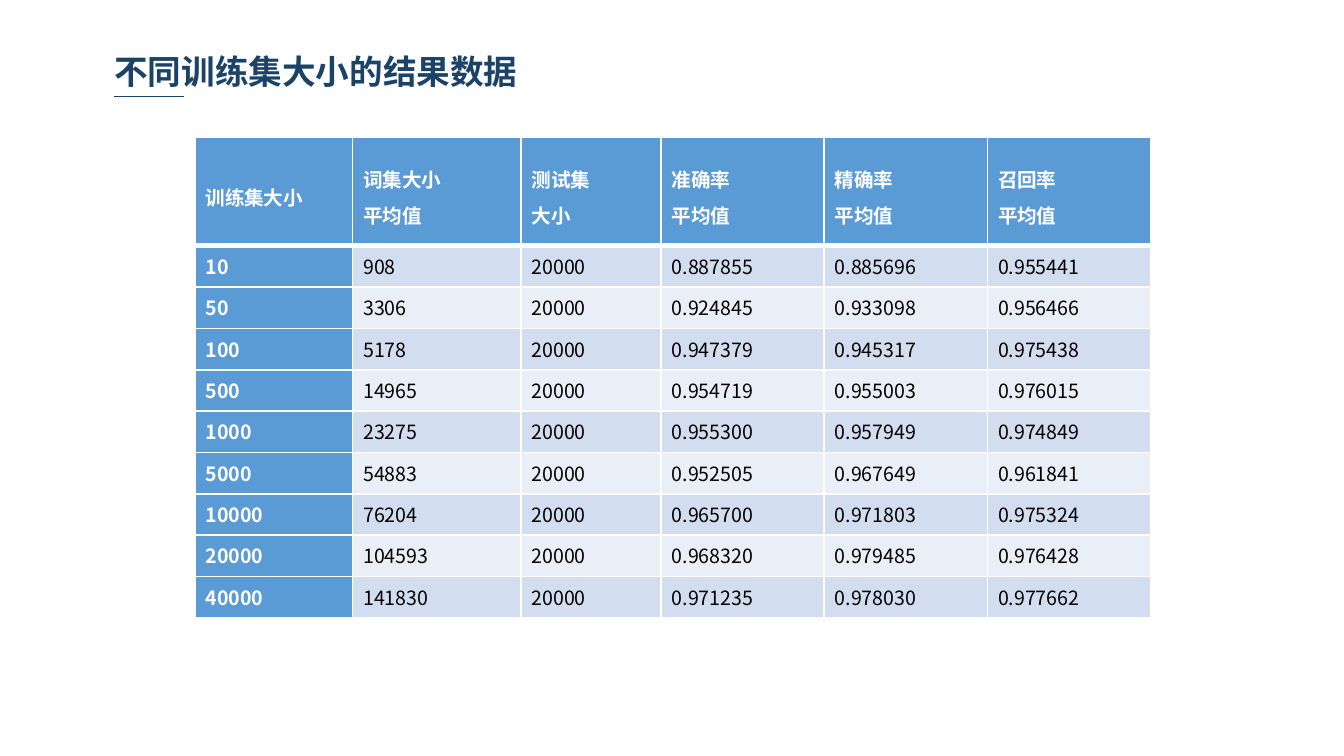
from lxml.etree import SubElement
from pptx import Presentation
from pptx.dml.color import RGBColor
from pptx.enum.shapes import MSO_CONNECTOR as Connector
from pptx.enum.text import MSO_ANCHOR as Anchor, PP_ALIGN as Align
from pptx.oxml.ns import qn
from pptx.util import Inches, Pt

FONT = "Noto Sans CJK SC"
NAVY = RGBColor(0x1B, 0x43, 0x67)
BLUE = RGBColor(0x5B, 0x9B, 0xD5)
BANDS = RGBColor(0xD2, 0xDE, 0xEF), RGBColor(0xEA, 0xEF, 0xF7)
WHITE = RGBColor(0xFF, 0xFF, 0xFF)
BLACK = RGBColor(0, 0, 0)

TITLE = "不同训练集大小的结果数据"
HEADERS = ["训练集大小", "词集大小\n平均值", "测试集\n大小",
           "准确率\n平均值", "精确率\n平均值", "召回率\n平均值"]
TEST_SIZE = "20000"
# training size, vocabulary size, accuracy, precision, recall
RESULTS = [
    ("10", "908", "0.887855", "0.885696", "0.955441"),
    ("50", "3306", "0.924845", "0.933098", "0.956466"),
    ("100", "5178", "0.947379", "0.945317", "0.975438"),
    ("500", "14965", "0.954719", "0.955003", "0.976015"),
    ("1000", "23275", "0.955300", "0.957949", "0.974849"),
    ("5000", "54883", "0.952505", "0.967649", "0.961841"),
    ("10000", "76204", "0.965700", "0.971803", "0.975324"),
    ("20000", "104593", "0.968320", "0.979485", "0.976428"),
    ("40000", "141830", "0.971235", "0.978030", "0.977662"),
]
COLUMN_SHARES = [1.17, 1.25, 1.04, 1.21, 1.21, 1.21]
HEADER_HEIGHT = 0.81


def style_run(span, size, color, bold):
    span.font.name = FONT
    span.font.size = Pt(size)
    span.font.bold = bold
    span.font.color.rgb = color
    SubElement(span.font._element, qn("a:ea"), typeface=FONT)


def set_borders(cell, top, bottom):
    """Give the cell white borders; widths in points, 1 at the sides."""
    properties = cell._tc.get_or_add_tcPr()
    for side, width in (("L", 1), ("R", 1), ("T", top), ("B", bottom)):
        line = SubElement(properties, qn(f"a:ln{side}"), w=str(Pt(width)))
        fill = SubElement(line, qn("a:solidFill"))
        SubElement(fill, qn("a:srgbClr"), val=str(WHITE))


def add_heading(page, left, top, width, height):
    title = page.shapes.title
    title.left, title.top, title.width, title.height = map(
        Inches, (left, top, width, height))
    frame = title.text_frame
    frame.text = TITLE
    frame.word_wrap = False
    frame.vertical_anchor = Anchor.TOP
    frame.margin_left = frame.margin_right = Inches(0.07)
    frame.margin_top = frame.margin_bottom = Inches(0.04)
    para = frame.paragraphs[0]
    para.alignment = Align.LEFT
    para.line_spacing = 1.0
    para.space_before = Pt(0)
    style_run(para.runs[0], 18, NAVY, True)

    start, base = Inches(left + 0.07), Inches(top + height)
    underline = page.shapes.add_connector(
        Connector.STRAIGHT, start, base, start + Inches(0.52), base)
    underline.line.color.rgb = NAVY
    underline.line.width = Pt(0.75)
    SubElement(underline._element.spPr, qn("a:effectLst"))


def fill_cell(cell, text, row, column):
    is_header = row == 0
    is_label = is_header or column == 0
    set_borders(cell, 3 if row == 1 else 1, 3 if is_header else 1)
    cell.fill.solid()
    cell.fill.fore_color.rgb = BLUE if is_label else BANDS[(row - 1) % 2]
    cell.margin_left = cell.margin_right = Inches(0.08)
    cell.margin_top, cell.margin_bottom = Inches(0.03), 0
    cell.vertical_anchor = Anchor.MIDDLE if is_header else Anchor.TOP
    cell.text_frame.text = text
    for para in cell.text_frame.paragraphs:
        para.line_spacing = 1.25 if is_header else 1.07
        para.space_after = Pt(0 if is_header else 8)
        style_run(para.runs[0], 10.5, WHITE if is_label else BLACK, is_label)


def add_results_table(page, left, top, width, height):
    rows = [HEADERS] + [(train, vocabulary, TEST_SIZE, *scores)
                        for train, vocabulary, *scores in RESULTS]
    row_height = (height - HEADER_HEIGHT) / len(RESULTS)
    heights = [HEADER_HEIGHT] + [row_height] * len(RESULTS)
    table = page.shapes.add_table(
        len(rows), len(HEADERS), Inches(left), Inches(top),
        Inches(width), Inches(height)).table
    table.first_col = True
    for column, share in zip(table.columns, COLUMN_SHARES):
        column.width = Inches(width * share / sum(COLUMN_SHARES))
    for row, row_height in zip(table.rows, heights):
        row.height = Inches(row_height)
    for r, texts in enumerate(rows):
        for c, text in enumerate(texts):
            fill_cell(table.cell(r, c), text, r, c)


def main():
    deck = Presentation()
    deck.slide_width = Inches(10)
    deck.slide_height = deck.slide_width * 9 // 16
    page = deck.slides.add_slide(deck.slide_layouts[5])
    add_heading(page, 0.78, 0.34, 3.19, 0.38)
    add_results_table(page, 1.45, 1.02, 7.11, 3.58)
    deck.save("out.pptx")


if __name__ == "__main__":
    main()
